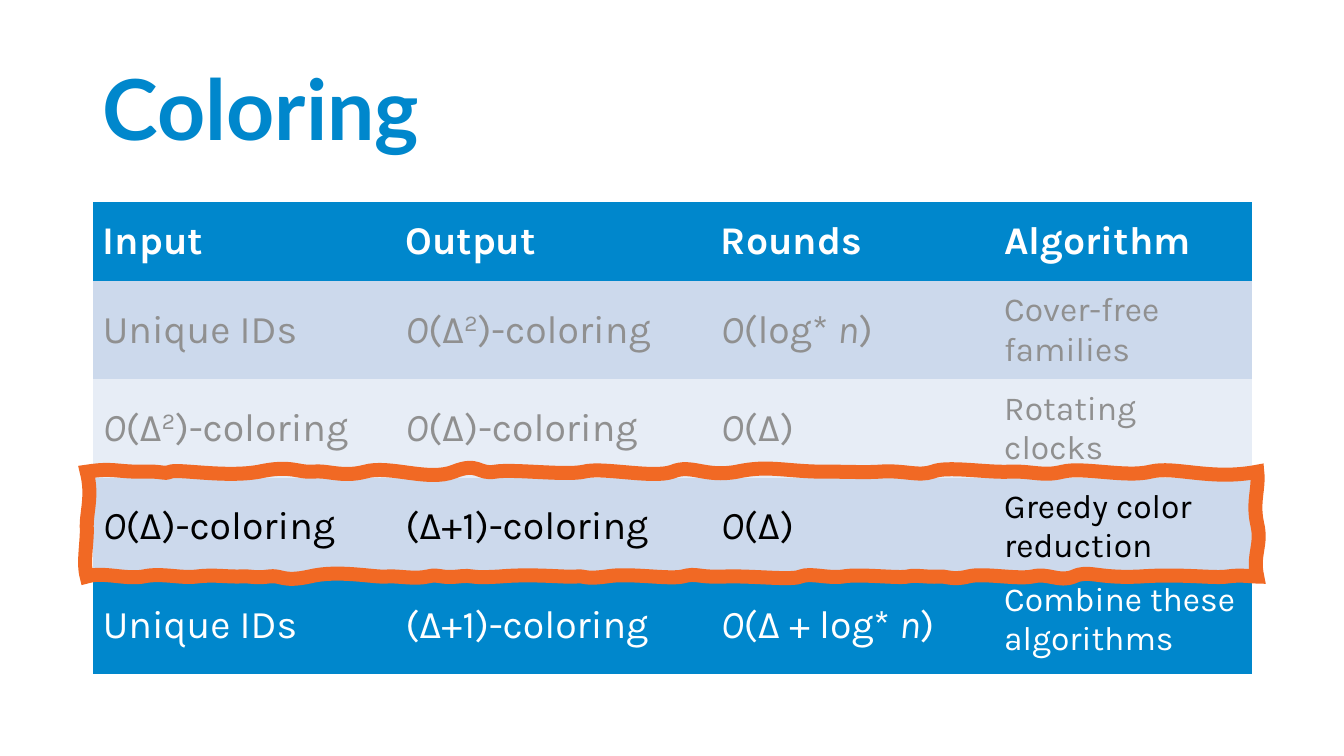
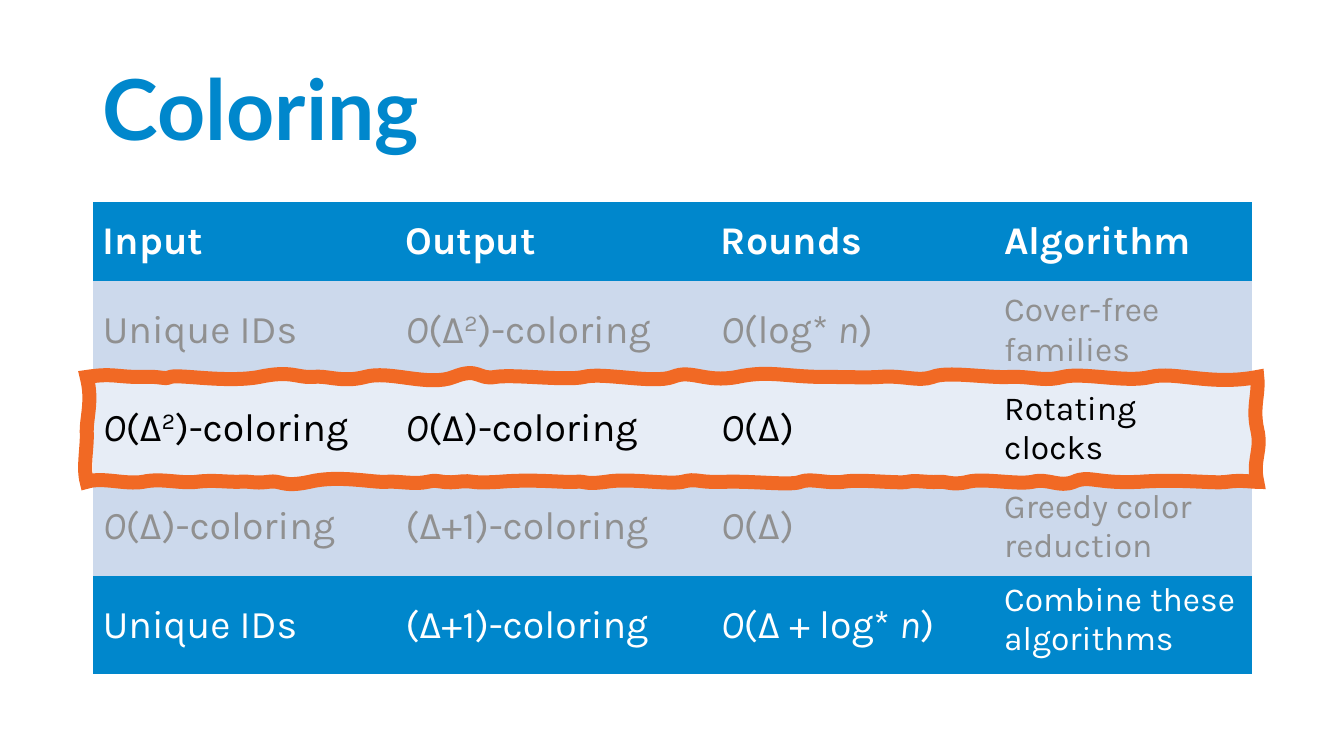
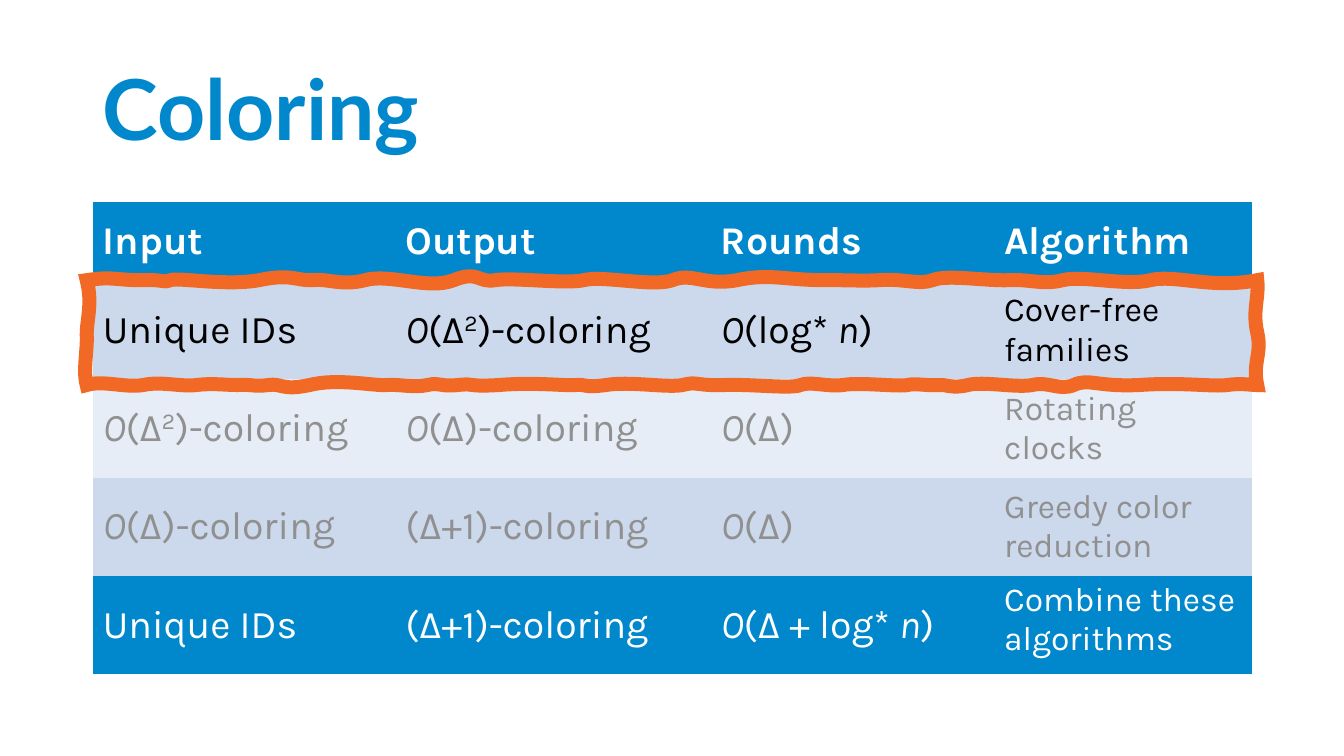
from dataclasses import dataclass

from lxml import etree
from pptx import Presentation
from pptx import util as u
from pptx.dml.color import RGBColor
from pptx.enum import text
from pptx.oxml.ns import qn

TITLE = "Coloring"

# _italic_ and ^superscript^ mark runs; a newline breaks the line.
HEADER = ("Input", "Output", "Rounds", "Algorithm")
ALGORITHMS = [
    ("Unique IDs", "_O_(Δ^2^)-coloring", "_O_(log* _n_)", "Cover-free families"),
    ("_O_(Δ^2^)-coloring", "_O_(Δ)-coloring", "_O_(Δ)", "Rotating\nclocks"),
    ("_O_(Δ)-coloring", "(Δ+1)-coloring", "_O_(Δ)", "Greedy color reduction"),
]
COMBINED = ("Unique IDs", "(Δ+1)-coloring", "_O_(Δ + log* _n_)", "Combine these\nalgorithms")

# One slide each: highlighted table row, top of the sketched frame
HIGHLIGHTS = [(3, 468), (2, 374), (1, 278)]

# Lengths in px, 100 to the inch
PX = u.Inches(0.01)
SLIDE_SIZE = (1333, 750)
TITLE_BOX = (92, 40, 1150, 145)
TABLE_LEFT, TABLE_TOP = 92, 200
COLUMN_WIDTHS = (300, 313, 281, 256)
HEADER_HEIGHT, BODY_HEIGHT = 79, 390
FRAME_LEFT, FRAME_RIGHT, FRAME_HEIGHT = 86, 1247, 104

# Wavy edges: two control points (x, offset from the edge), then the end x
TOP_WAVES = [
    (112, -4, 115, 0, 139), (164, -1, 161, 3, 169), (177, -3, 224, 6, 257),
    (289, -7, 295, 1, 310), (324, -2, 339, 6, 362), (386, -7, 425, 10, 450),
    (475, -10, 474, 3, 491), (509, -3, 561, 4, 579), (597, -5, 648, 7, 667),
    (686, -8, 699, 6, 731), (763, -7, 779, 0, 819), (859, 0, 848, 1, 872),
    (896, -2, 911, 5, 925), (939, -6, 978, 1, 1001), (1024, -1, 1034, 5, 1054),
    (1074, -5, 1117, 6, 1141), (1165, -6, 1201, 9, FRAME_RIGHT),
]
BOTTOM_WAVES = [
    (1240, 0, 1231, -2, 1217), (1204, 2, 1173, -3, 1130), (1087, 2, 1080, -7, 1065),
    (1050, 6, 1040, -4, 1024), (1008, 3, 975, -4, 960), (944, 4, 938, -1, 930),
    (921, 1, 908, -2, 900), (892, 2, 852, -3, 836), (820, 2, 804, -4, 794),
    (785, 4, 747, -1, 718), (690, 1, 692, -4, 677), (662, 3, 624, -4, 601),
    (578, 3, 582, -1, 571), (561, 1, 530, -3, 495), (461, 2, 473, -2, 454),
    (435, 2, 437, -3, 424), (411, 3, 395, -1, 383), (371, 1, 335, -7, 307),
    (279, 6, 280, -2, 266), (251, 2, 250, -1, 236), (222, 0, 211, -2, 195),
    (179, 2, 160, -4, 142), (124, 3, 102, -5, FRAME_LEFT),
]
# Sides: two control points and the end point, y counted from the frame top
RIGHT_WAVES = [(1249, 17, 1242, 30, FRAME_RIGHT, 52),
               (1252, 73, 1242, 82, FRAME_RIGHT, FRAME_HEIGHT)]
LEFT_WAVES = [(82, 90, 87, 68, FRAME_LEFT, 54), (86, 39, 92, 23, FRAME_LEFT, 0)]


@dataclass(frozen=True)
class Theme:
    blue: str = "0087CC"
    band_dark: str = "CCD9EC"
    band_light: str = "E7EDF6"
    orange: str = "F16924"
    white: str = "FFFFFF"
    black: str = "000000"
    faded: str = "909090"
    title_font: str = "Lato"
    body_font: str = "Karla"
    title_size: int = 60
    cell_size: int = 28
    algorithm_size: int = 24
    frame_width: int = 10
    table_style: str = "{2D5ABB26-0587-4C30-8999-92F81FD0307C}"  # no style, no grid


THEME = Theme()


def rgb(value):
    return RGBColor.from_string(value)


def style_font(font, name, size, color, bold=False):
    font.name, font.size, font.bold = name, u.Pt(size), bold
    font.color.rgb = rgb(color)


def add_title(slide):
    title = slide.shapes.title
    title.left, title.top, title.width, title.height = (n * PX for n in TITLE_BOX)
    frame = title.text_frame
    frame.text = TITLE
    frame.auto_size = text.MSO_AUTO_SIZE.NONE
    frame.vertical_anchor = text.MSO_ANCHOR.MIDDLE
    paragraph = frame.paragraphs[0]
    paragraph.alignment = text.PP_ALIGN.LEFT
    paragraph.line_spacing = 0.9
    style_font(paragraph.runs[0].font, THEME.title_font, THEME.title_size, THEME.blue, True)


def write_marked(paragraph, marked, size, color, bold):
    """Turn the _ and ^ marks into italic and superscript runs."""
    for i, chunk in enumerate(marked.split("_")):
        for j, part in enumerate(chunk.split("^")):
            for k, line in enumerate(part.split("\n")):
                if k:
                    paragraph.add_line_break()
                if not line:
                    continue
                run = paragraph.add_run()
                run.text = line
                style_font(run.font, THEME.body_font, size, color, bold)
                run.font.italic = i % 2 == 1
                if j % 2:
                    run._r.get_or_add_rPr().set("baseline", "30000")


def add_algorithm_table(slide, highlighted):
    rows = [HEADER, *ALGORITHMS, COMBINED]
    last_row, last_column = len(rows) - 1, len(HEADER) - 1
    table = slide.shapes.add_table(
        len(rows), len(HEADER), TABLE_LEFT * PX, TABLE_TOP * PX,
        sum(COLUMN_WIDTHS) * PX, (HEADER_HEIGHT + BODY_HEIGHT) * PX).table
    table.first_row = table.horz_banding = False
    table._tbl.tblPr.find(qn("a:tableStyleId")).text = THEME.table_style
    for column, width in zip(table.columns, COLUMN_WIDTHS):
        column.width = width * PX

    for r, row in enumerate(rows):
        table.rows[r].height = HEADER_HEIGHT * PX if r == 0 else BODY_HEIGHT * PX // last_row
        if r in (0, last_row):
            fill, color = THEME.blue, THEME.white
        else:
            fill = THEME.band_dark if r % 2 else THEME.band_light
            color = THEME.black if r == highlighted else THEME.faded
        for c, marked in enumerate(row):
            cell = table.cell(r, c)
            cell.fill.solid()
            cell.fill.fore_color.rgb = rgb(fill)
            at_top = (r, c) == (last_row, last_column)
            cell.vertical_anchor = text.MSO_ANCHOR.TOP if at_top else text.MSO_ANCHOR.MIDDLE
            size = THEME.algorithm_size if r and c == last_column else THEME.cell_size
            write_marked(cell.text_frame.paragraphs[0], marked, size, color, bold=r == 0)


def frame_curves():
    """Return the four sides, clockwise, as cubic curves."""
    def level(waves, y):
        return [(x1, y + d1, x2, y + d2, x, y) for x1, d1, x2, d2, x in waves]

    return level(TOP_WAVES, 0) + RIGHT_WAVES + level(BOTTOM_WAVES, FRAME_HEIGHT) + LEFT_WAVES


def bend_segments(shape, curves):
    """Make each straight segment of a freeform a cubic curve with the same end."""
    for segment, curve in zip(list(shape._element.iter(qn("a:lnTo"))), curves):
        segment.tag = qn("a:cubicBezTo")
        for index in (0, 1):
            x, y = curve[2 * index:2 * index + 2]
            control = etree.Element(qn("a:pt"), x=str((x - FRAME_LEFT) * PX), y=str(y * PX))
            segment.insert(index, control)


def add_sketched_frame(slide, top):
    curves = frame_curves()
    builder = slide.shapes.build_freeform(FRAME_LEFT * PX, top * PX)
    builder.add_line_segments([(x * PX, (top + y) * PX) for *_, x, y in curves], close=True)
    frame = builder.convert_to_shape()
    bend_segments(frame, curves)
    frame.shadow.inherit = False
    frame.fill.background()
    frame.line.color.rgb = rgb(THEME.orange)
    frame.line.width = u.Pt(THEME.frame_width)
    etree.SubElement(frame.line._get_or_add_ln(), qn("a:miter")).set("lim", "800000")


def main():
    presentation = Presentation()
    presentation.slide_width, presentation.slide_height = (n * PX for n in SLIDE_SIZE)
    title_only = presentation.slide_layouts[5]
    for highlighted, frame_top in HIGHLIGHTS:
        slide = presentation.slides.add_slide(title_only)
        add_title(slide)
        add_algorithm_table(slide, highlighted)
        add_sketched_frame(slide, frame_top)
    presentation.save("out.pptx")


if __name__ == "__main__":
    main()
